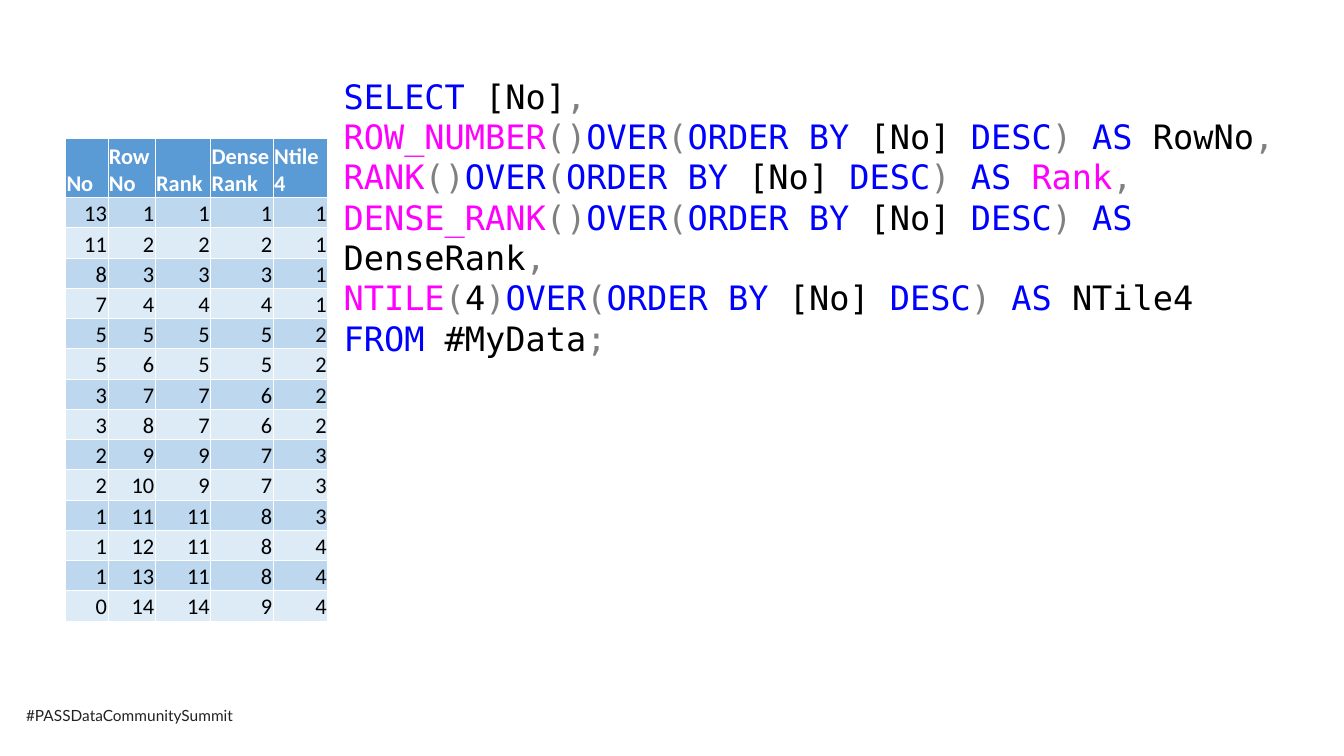
from lxml import etree
from pptx import Presentation
from pptx.dml.color import RGBColor as RGB
from pptx.enum.text import MSO_ANCHOR as Anchor, PP_ALIGN as Align
from pptx.oxml import parse_xml
from pptx.oxml.ns import nsdecls, qn
from pptx.util import Inches, Pt

BLUE, PINK, GREY, BLACK, WHITE = "0000FF", "FF00FF", "808080", "000000", "FFFFFF"
HEAD, BANDS = "5B9BD5", ("BDD7EE", "DDEBF7")


def write(para, text, size=16, font="Calibri", color=BLACK, bold=False):
    """Append text to a paragraph; a newline becomes a line break."""
    for i, line in enumerate(text.split("\n")):
        if i:
            para.add_line_break()
            etree.SubElement(para._p[-1], qn("a:rPr"), sz=str(size * 100))
        run = para.add_run()
        run.text = line
        run.font.size, run.font.name, run.font.bold = Pt(size), font, bold
        run.font.color.rgb = RGB.from_string(color)


deck = Presentation()
deck.slide_width, deck.slide_height = Inches(13.33), Inches(7.5)
slide = deck.slides.add_slide(deck.slide_layouts[6])

# Footer
foot = slide.shapes.add_textbox(Inches(0.16), Inches(6.96), Inches(2.34), Inches(0.29))
foot.text_frame.word_wrap = False
write(foot.text_frame.paragraphs[0], "#PASSDataCommunitySummit",
      size=11, font="Lato", color="222222")

# Result table, one entry per column: heading, width, values
cols = [
    ("No", 0.42, [13, 11, 8, 7, 5, 5, 3, 3, 2, 2, 1, 1, 1, 0]),
    ("Row\nNo", 0.47, range(1, 15)),
    ("Rank", 0.55, [1, 2, 3, 4, 5, 5, 7, 7, 9, 9, 11, 11, 11, 14]),
    ("Dense\nRank", 0.62, [1, 2, 3, 4, 5, 5, 6, 6, 7, 7, 8, 8, 8, 9]),
    ("Ntile\n4", 0.54, [1, 1, 1, 1, 2, 2, 2, 2, 3, 3, 3, 4, 4, 4]),
]
table = slide.shapes.add_table(15, len(cols), Inches(0.65), Inches(1.37),
                               Inches(2.6), Inches(4.76)).table
table.horz_banding = False
for r, row in enumerate(table.rows):
    row.height = Inches(0.3 if r else 0.59)
for c, (head, width, vals) in enumerate(cols):
    table.columns[c].width = Inches(width)
    for r, val in enumerate([head, *vals]):
        cell = table.cell(r, c)
        cell.vertical_anchor = Anchor.BOTTOM
        cell.margin_left = cell.margin_right = cell.margin_top = Inches(0.01)
        cell.margin_bottom = 0
        for side in "LRTB":
            cell._tc.get_or_add_tcPr().append(parse_xml(
                f'<a:ln{side} {nsdecls("a")} w="6350"><a:solidFill>'
                f'<a:srgbClr val="{WHITE}"/></a:solidFill></a:ln{side}>'))
        cell.fill.solid()
        cell.fill.fore_color.rgb = RGB.from_string(BANDS[(r - 1) % 2] if r else HEAD)
        para = cell.text_frame.paragraphs[0]
        para.alignment = Align.RIGHT if r else Align.LEFT
        write(para, str(val), color=BLACK if r else WHITE, bold=r == 0)

# Query
over = [("OVER", BLUE), ("(", GREY), ("ORDER BY", BLUE), (" [No] ", BLACK),
        ("DESC", BLUE), (") ", GREY)]
call, comma = ("()", GREY), (",", GREY)
query = [
    [("SELECT", BLUE), (" [No]", BLACK), comma],
    [("ROW_NUMBER", PINK), call, *over, ("AS ", BLUE), ("RowNo", BLACK), comma],
    [("RANK", PINK), call, *over, ("AS ", BLUE), ("Rank", PINK), comma],
    [("DENSE_RANK", PINK), call, *over, ("AS ", BLUE), ("DenseRank", BLACK), comma],
    [("NTILE", PINK), ("(", GREY), ("4", BLACK), (")", GREY), *over,
     ("AS", BLUE), (" NTile4", BLACK)],
    [("FROM", BLUE), (" #MyData", BLACK), (";", GREY)],
]
code = slide.shapes.add_textbox(Inches(3.31), Inches(0.7), Inches(9.96), Inches(2.52))
frame = code.text_frame
frame.word_wrap = True
for i, line in enumerate(query):
    para = frame.add_paragraph() if i else frame.paragraphs[0]
    for text, color in line:
        write(para, text, size=24, font="DejaVu Sans Mono", color=color)

deck.save("out.pptx")
